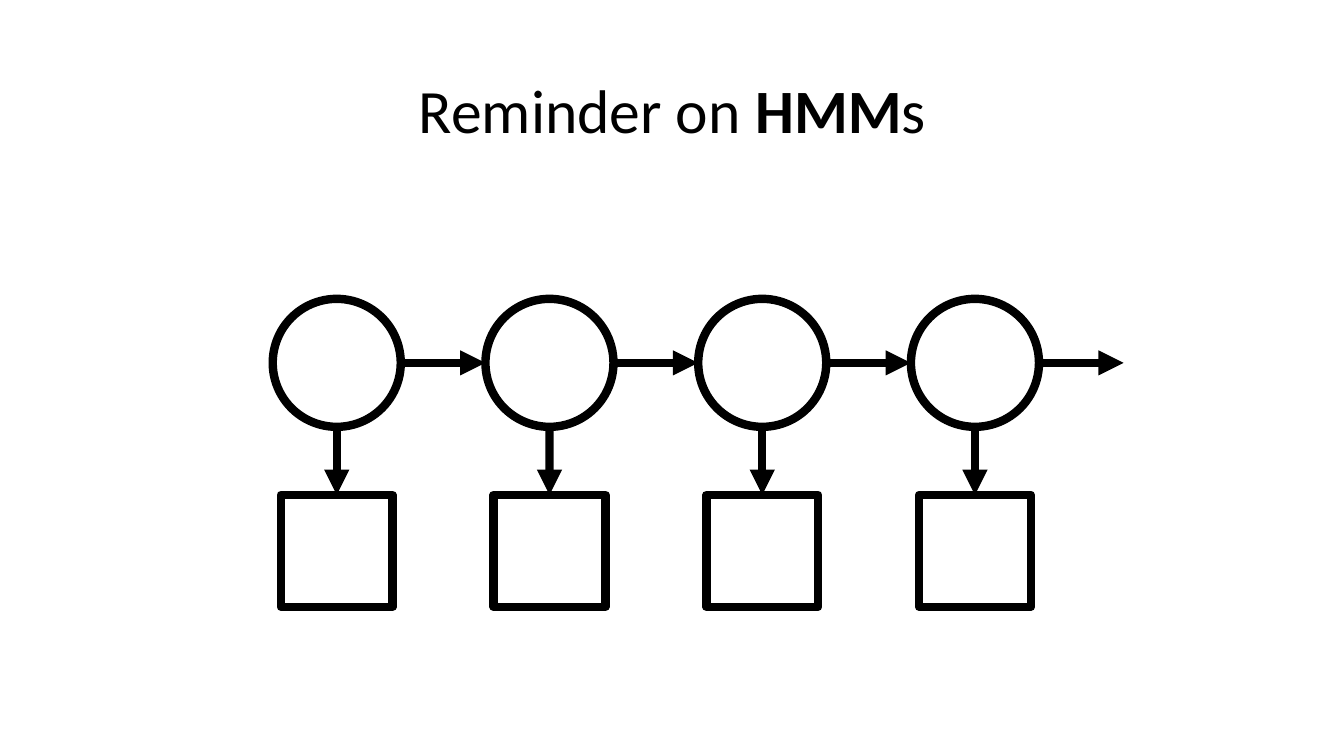
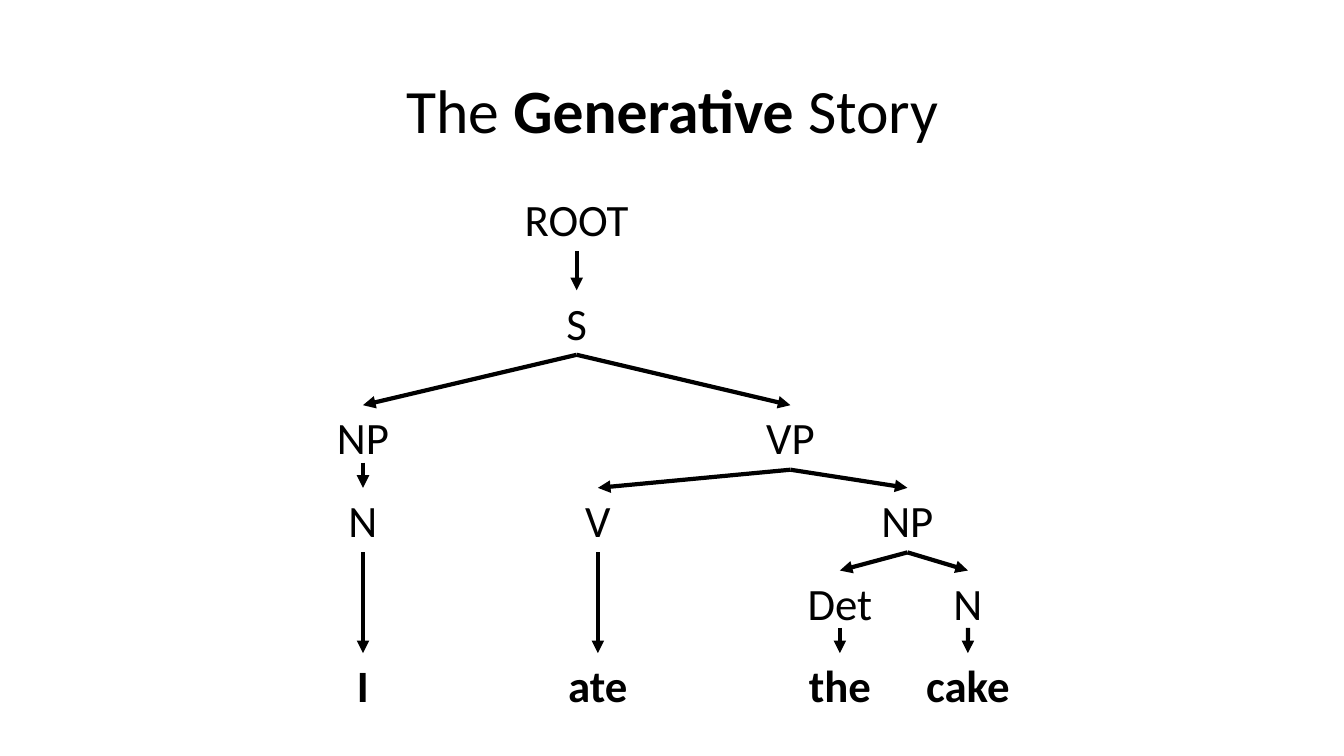
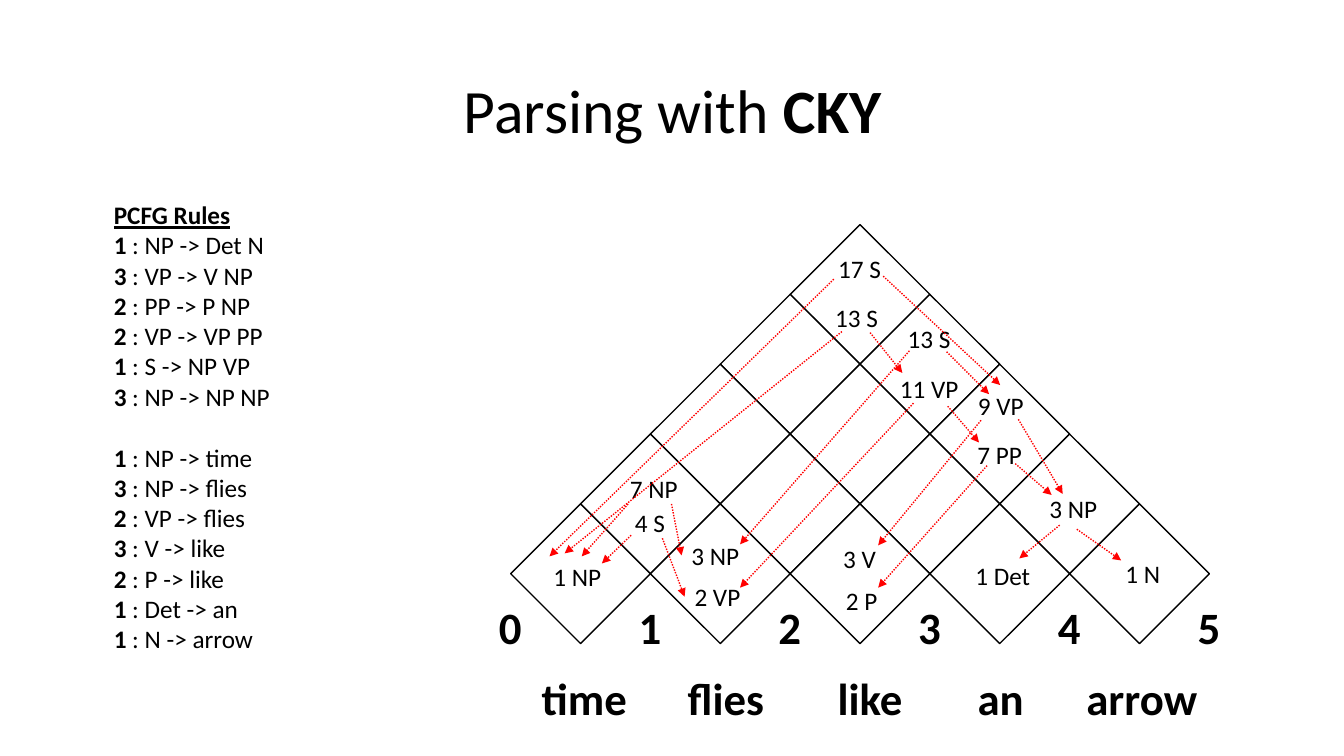
from math import sqrt
from lxml.etree import SubElement
from pptx import Presentation
from pptx.dml.color import RGBColor
from pptx.enum.dml import MSO_LINE
from pptx.enum.shapes import MSO_CONNECTOR, MSO_SHAPE
from pptx.enum.text import MSO_ANCHOR, PP_ALIGN
from pptx.oxml.ns import qn
from pptx.util import Inches, Pt

FONT = "Calibri"
BLACK, WHITE, RED = "000000", "FFFFFF", "FF0000"
color = RGBColor.from_string


def write(slide, box, lines, size, align=PP_ALIGN.CENTER):
    """Add a text box; parts between asterisks are bold."""
    shape = slide.shapes.add_textbox(*[Inches(n) for n in box])
    frame = shape.text_frame
    frame.word_wrap = True
    for i, line in enumerate(lines):
        para = frame.add_paragraph() if i else frame.paragraphs[0]
        para.alignment = align
        for j, part in enumerate(line.split("*")):
            if part:
                run = para.add_run()
                run.text = part
                run.font.name, run.font.size = FONT, Pt(size)
                run.font.bold = j % 2 == 1
                run.font.color.rgb = color(BLACK)
    return shape


def link(slide, start, end, width, tint=BLACK, dash=None):
    """Add a straight arrow between two points."""
    arrow = slide.shapes.add_connector(
        MSO_CONNECTOR.STRAIGHT, *[Inches(n) for n in start + end])
    arrow.line.width = Pt(width)
    arrow.line.color.rgb = color(tint)
    if dash:
        arrow.line.dash_style = dash
    props = arrow.element.spPr
    SubElement(props.find(qn("a:ln")), qn("a:tailEnd"), type="triangle")
    SubElement(props, qn("a:effectLst"))
    return arrow


deck = Presentation()
deck.slide_width, deck.slide_height = Inches(13.33), Inches(7.5)

# Slides and titles
slides = []
for title in ["Reminder on *HMM*s", "The *Generative* Story",
              "Parsing with *CKY*"]:
    slide = deck.slides.add_slide(deck.slide_layouts[6])
    frame = write(slide, (0.92, 0.4, 11.5, 1.45), [title], 44).text_frame
    frame.vertical_anchor = MSO_ANCHOR.MIDDLE
    frame.paragraphs[0].line_spacing = 0.9
    slides.append(slide)
chain, tree, chart = slides
outlines = []

# Slide 1: chain of states, each with its output
PITCH, MID = 2.11, 3.6
ROUND, SQUARE, TOP = 1.27, 1.11, 4.91
for i in range(4):
    x = 3.34 + i * PITCH
    state = chain.shapes.add_shape(
        MSO_SHAPE.OVAL, Inches(x - ROUND / 2), Inches(MID - ROUND / 2),
        Inches(ROUND), Inches(ROUND))
    output = chain.shapes.add_shape(
        MSO_SHAPE.RECTANGLE, Inches(x - SQUARE / 2), Inches(TOP),
        Inches(SQUARE), Inches(SQUARE))
    outlines += [(state, 6), (output, 6)]
    link(chain, (x + ROUND / 2, MID), (x + PITCH - ROUND / 2, MID), 6)
    down = link(chain, (x, MID + ROUND / 2), (x, TOP), 6)
    down.end_connect(output, 0)

# Slide 2: tree nodes as text, centre, top, width, index of parent
TALL = 0.64
nodes = [
    ("ROOT", 5.72, 1.85, 1.53, None),
    ("S", 5.72, 2.88, 1.53, 0),
    ("NP", 3.6, 4.02, 0.83, 1),
    ("VP", 7.84, 4.02, 0.83, 1),
    ("N", 3.6, 4.84, 1.53, 2),
    ("*I*", 3.6, 6.48, 1.53, 4),
    ("V", 5.93, 4.84, 0.83, 3),
    ("NP", 9, 4.84, 0.83, 3),
    ("*ate*", 5.93, 6.48, 1.53, 6),
    ("Det", 8.33, 5.66, 0.85, 7),
    ("N", 9.6, 5.66, 0.83, 7),
    ("*the*", 8.33, 6.48, 1.53, 9),
    ("*cake*", 9.6, 6.48, 1.53, 10),
]
labels = []
for text, x, y, wide, up in nodes:
    label = write(tree, (x - wide / 2, y, wide, TALL), [text], 32)
    labels.append(label)
    if up is None:
        continue
    left, base = nodes[up][1], nodes[up][2] + TALL
    # A vertical arrow is at least a quarter inch long
    start = min(base, y - 0.25) if left == x else base
    arrow = link(tree, (left, start), (x, y), 3)
    if start == base:
        arrow.begin_connect(labels[up], 2)
    arrow.end_connect(label, 0)

# Slide 3: triangle of tilted cells
SIDE, PEAK, CREST = 0.98, 8.53, 2.92
STEP = SIDE / sqrt(2)
for row in range(5):
    for col in range(row + 1):
        x = PEAK + (2 * col - row) * STEP
        y = CREST + row * STEP
        cell = chart.shapes.add_shape(
            MSO_SHAPE.RECTANGLE, Inches(x - SIDE / 2), Inches(y - SIDE / 2),
            Inches(SIDE), Inches(SIDE))
        cell.rotation = 315
        outlines.append((cell, 1))

# Positions and words below the cells
for i in range(6):
    x = PEAK + (2 * i - 5) * STEP
    write(chart, (x - 0.38, 5.9, 0.75, TALL), [f"*{i}*"], 32)
for word, x, wide in [("time", 5.13, 1.33), ("flies", 6.67, 1.06),
                      ("like", 8.11, 1.04), ("an", 9.55, 0.75),
                      ("arrow", 10.35, 1.95)]:
    write(chart, (x, 6.6, wide, TALL), [f"*{word}*"], 32)

# Grammar rules
rules = [
    "*PCFG Rules*",
    "*1* : NP -> Det N", "*3* : VP -> V NP", "*2* : PP -> P NP",
    "*2* : VP -> VP PP", "*1* : S -> NP VP", "*3* : NP -> NP NP",
    "*1* : NP -> time", "*3* : NP -> flies", "*2* : VP -> flies",
    "*3* : V -> like", "*2* : P -> like", "*1* : Det -> an",
    "*1* : N -> arrow",
]
paras = write(chart, (1.03, 1.93, 3.49, 4.64), rules, 18,
              PP_ALIGN.LEFT).text_frame.paragraphs
paras[0].runs[0].font.underline = True
paras[7].space_before = Pt(22)

# Entries in the cells
left, mid = PP_ALIGN.LEFT, PP_ALIGN.CENTER
for text, x, y, align in [
    ("1 NP", 5.39, 5.52, left), ("3 NP", 6.76, 5.31, left),
    ("2 VP", 6.79, 5.72, left), ("3 V", 8.15, 5.34, mid),
    ("1 Det", 9.54, 5.51, mid), ("2 P", 8.17, 5.76, mid),
    ("1 N", 10.96, 5.49, mid), ("17 S", 8.15, 2.46, mid),
    ("7 NP", 6.11, 4.65, mid), ("4 S", 6.07, 4.98, mid),
    ("3 NP", 10.31, 4.84, left), ("9 VP", 9.55, 3.82, mid),
    ("7 PP", 9.54, 4.31, mid), ("13 S", 8.84, 3.16, mid),
    ("11 VP", 8.81, 3.65, mid), ("13 S", 8.12, 2.95, mid),
]:
    wide = 0.81 if len(text) > 4 else 0.75
    write(chart, (x, y, wide, 0.4), [text], 18, align)

# Back pointers
for start, end in [
    ((6.23, 5), (5.77, 5.52)), ((6.66, 5), (6.76, 5.51)),
    ((6.26, 5.31), (5.97, 5.59)), ((6.57, 5.34), (6.79, 5.92)),
    ((10.51, 5.21), (10.11, 5.54)), ((10.68, 5.25), (11.12, 5.56)),
    ((9.73, 4.17), (8.71, 5.41)), ((10.1, 4.16), (10.54, 4.9)),
    ((9.79, 4.62), (8.71, 5.83)), ((10.07, 4.6), (10.43, 4.91)),
    ((9.02, 3.48), (7.34, 5.4)), ((9.39, 3.49), (9.81, 3.91)),
    ((9.06, 4), (7.34, 5.83)), ((9.4, 4.03), (9.71, 4.39)),
    ((8.35, 3.29), (5.6, 5.49)), ((8.63, 3.3), (8.95, 3.7)),
    ((8.27, 2.77), (5.45, 5.52)), ((8.76, 2.74), (9.92, 3.82)),
]:
    link(chart, start, end, 1, RED, MSO_LINE.ROUND_DOT)

# Look of all outlined shapes
for shape, width in outlines:
    shape.shadow.inherit = False
    shape.fill.solid()
    shape.fill.fore_color.rgb = color(WHITE)
    shape.line.color.rgb = color(BLACK)
    shape.line.width = Pt(width)

deck.save("out.pptx")
